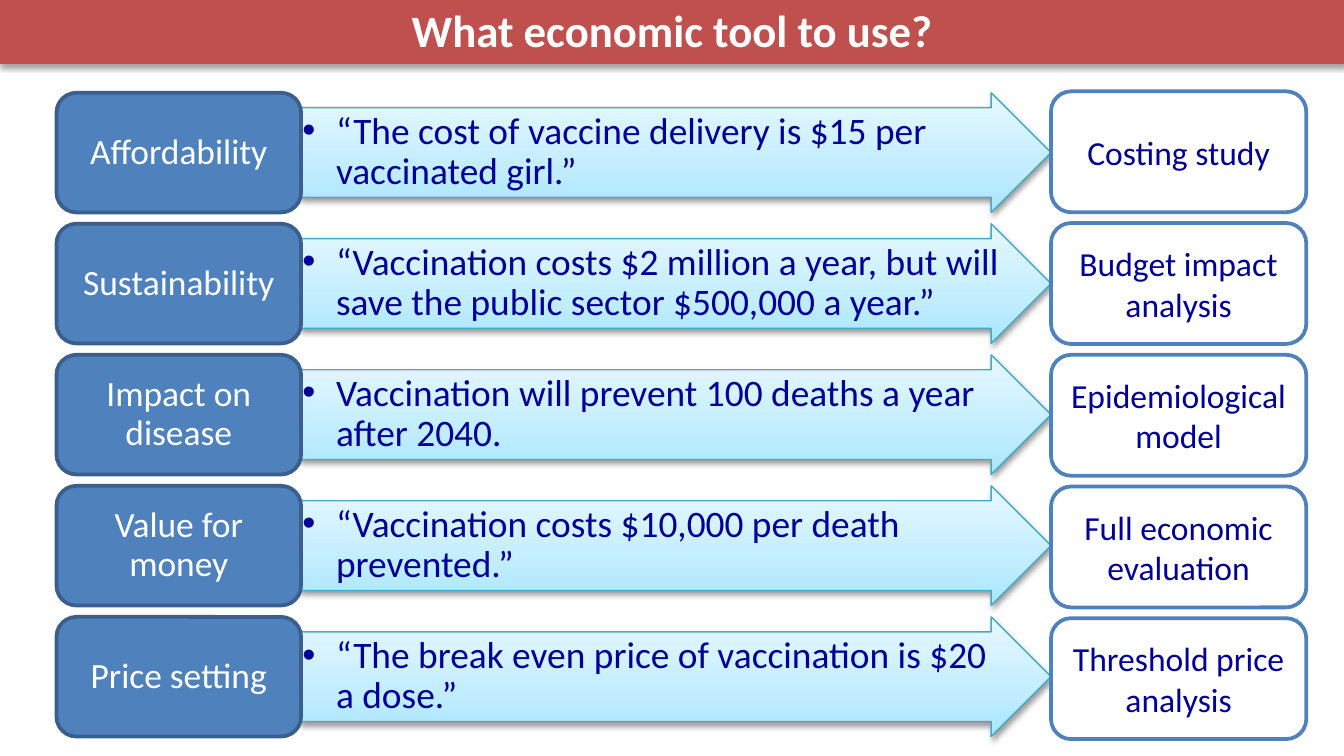
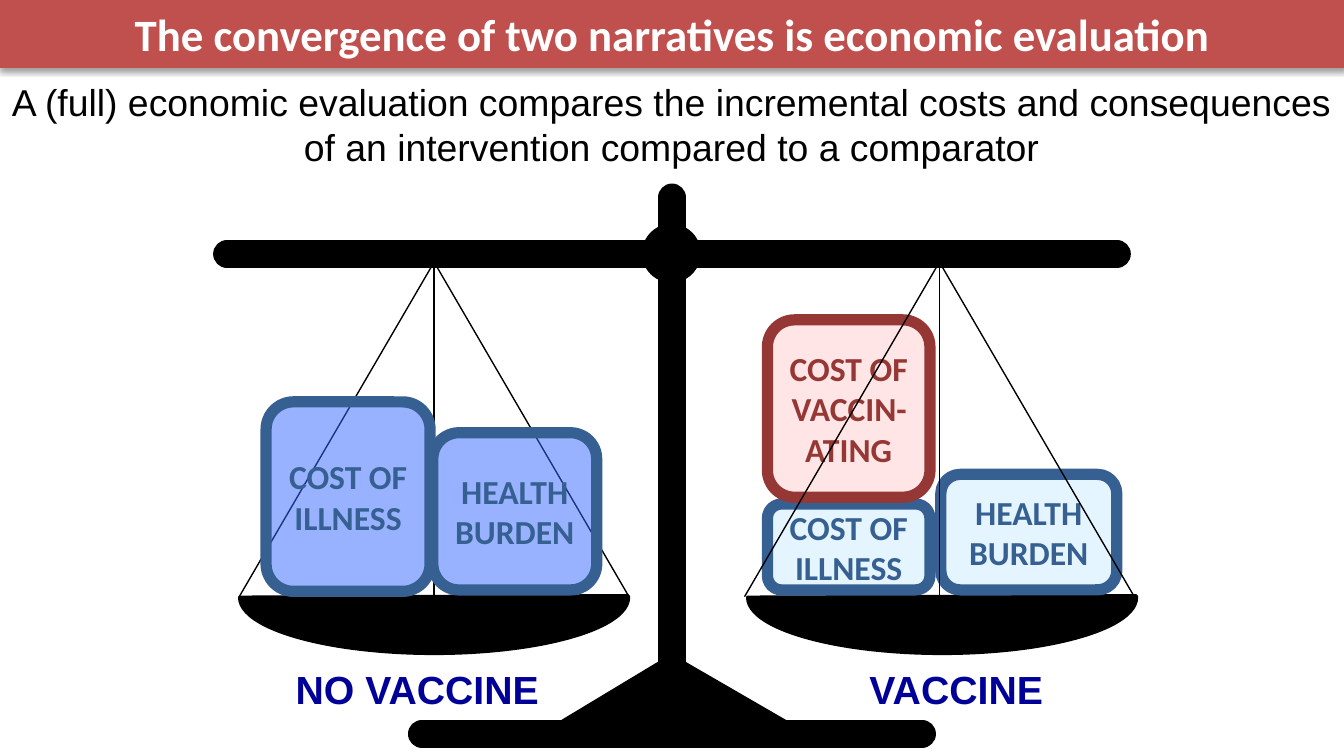
from lxml import etree
from pptx import Presentation
from pptx.dml.color import RGBColor
from pptx.enum.shapes import MSO_CONNECTOR, MSO_SHAPE
from pptx.enum.text import MSO_ANCHOR, MSO_AUTO_SIZE, PP_ALIGN
from pptx.oxml import parse_xml
from pptx.oxml.ns import nsdecls, qn
from pptx.util import Inches, Pt

STRAIGHT = MSO_CONNECTOR.STRAIGHT
ROUND, ARROW = MSO_SHAPE.ROUNDED_RECTANGLE, MSO_SHAPE.RIGHT_ARROW
PEAK, BOWL, DISC = MSO_SHAPE.ISOSCELES_TRIANGLE, MSO_SHAPE.CHORD, MSO_SHAPE.OVAL
LEFT, CENTER = PP_ALIGN.LEFT, PP_ALIGN.CENTER
TOP, MIDDLE = MSO_ANCHOR.TOP, MSO_ANCHOR.MIDDLE
FIXED = MSO_AUTO_SIZE.NONE

WIDTH = Inches(10)
HEIGHT = WIDTH * 9 // 16

WHITE = RGBColor(0xFF, 0xFF, 0xFF)
BLACK = RGBColor(0, 0, 0)
NAVY = RGBColor(0, 0, 0x99)
RED = RGBColor(0xC0, 0x50, 0x4D)
BRICK = RGBColor(0x95, 0x37, 0x35)
PINK = RGBColor(0xFF, 0xCC, 0xCC)
BLUE = RGBColor(0x4F, 0x81, 0xBD)
EDGE = RGBColor(0x3A, 0x5F, 0x8C)
STEEL = RGBColor(0x37, 0x60, 0x92)
ROYAL = RGBColor(0x33, 0x66, 0xFF)
PALE = RGBColor(0xCC, 0xEC, 0xFF)
TEAL = RGBColor(0x46, 0xAA, 0xC5)
FADE = [(0, RGBColor(0xA7, 0xE6, 0xFF)), (35, RGBColor(0xC1, 0xED, 0xFF)),
        (100, RGBColor(0xE7, 0xF8, 0xFF))]

ROWS = [
    ("Affordability", "“The cost of vaccine delivery is $15 per vaccinated girl.”",
     "Costing study"),
    ("Sustainability", "“Vaccination costs $2 million a year, but will save the "
     "public sector $500,000 a year.”", "Budget impact analysis"),
    ("Impact on disease", "Vaccination will prevent 100 deaths a year after 2040.",
     "Epidemiological model"),
    ("Value for money", "“Vaccination costs $10,000 per death prevented.”",
     "Full economic evaluation"),
    ("Price setting", "“The break even price of vaccination is $20 a dose.”",
     "Threshold price analysis"),
]


def write(shape, text, size, color, font="Calibri", bold=False, align=CENTER,
          anchor=MIDDLE, pad=(0.1, 0.05)):
    frame = shape.text_frame
    frame.word_wrap = True
    frame.auto_size = FIXED
    frame.vertical_anchor = anchor
    frame.margin_left = frame.margin_right = Inches(pad[0])
    frame.margin_top = frame.margin_bottom = Inches(pad[1])
    para = frame.paragraphs[0]
    para.alignment = align
    run = para.add_run()
    run.text = text
    run.font.name, run.font.size, run.font.bold = font, Pt(size), bold
    run.font.color.rgb = color
    return para


def paint(shape, fill, line, width):
    shape.fill.solid()
    shape.fill.fore_color.rgb = fill
    shape.line.color.rgb = line
    shape.line.width = Pt(width)


def draw(slide, kind, box, fill, line, width):
    shape = slide.shapes.add_shape(kind, *map(Inches, box))
    shape.shadow.inherit = False
    paint(shape, fill, line, width)
    return shape


def label(slide, box, *args, **style):
    shape = slide.shapes.add_textbox(*map(Inches, box))
    return shape, write(shape, *args, **style)


def shade(shape):
    """Drop a soft shadow straight down."""
    shape.shadow.inherit = False
    effects = shape.element.spPr.find(qn("a:effectLst"))
    effects.append(parse_xml(
        f'<a:outerShdw {nsdecls("a")} blurRad="40000" dist="20000" dir="5400000" '
        'rotWithShape="0"><a:srgbClr val="000000"><a:alpha val="38000"/>'
        '</a:srgbClr></a:outerShdw>'))


def fade(shape):
    """Swap the solid fill for a gradient that rises from the bottom."""
    stops = "".join(f'<a:gs pos="{pos * 1000}"><a:srgbClr val="{color}"/></a:gs>'
                    for pos, color in FADE)
    props = shape.element.spPr
    props.replace(props.find(qn("a:solidFill")), parse_xml(
        f'<a:gradFill {nsdecls("a")} rotWithShape="1"><a:gsLst>{stops}</a:gsLst>'
        '<a:lin ang="16200000" scaled="0"/></a:gradFill>'))


def bullet(para):
    para.level = 1
    props = para._p.get_or_add_pPr()
    props.set("marL", str(Inches(0.25)))
    props.set("indent", str(-Inches(0.25)))
    font = etree.SubElement(props, qn("a:buFont"))
    font.set("typeface", "Arial")
    etree.SubElement(props, qn("a:buChar")).set("char", "•")


def rule(slide, start, end, width):
    line = slide.shapes.add_connector(STRAIGHT, *map(Inches, start + end))
    line.line.color.rgb = BLACK
    line.line.width = Pt(width)
    etree.SubElement(line.element.spPr, qn("a:effectLst"))
    return line


def bar(slide, start, end):
    line = rule(slide, start, end, 15)
    line.element.spPr.find(qn("a:ln")).set("cap", "rnd")


def head(slide, text, top):
    """Turn the title into the red band, above all else."""
    title = slide.shapes.title
    title.left, title.top, title.width, title.height = map(
        Inches, (0, top, 10, 0.5))
    paint(title, RED, RED, 0.75)
    shade(title)
    write(title, text, 24, WHITE, bold=True)
    title.element.getparent().append(title.element)


def row(slide, num, topic, quote, tool):
    y = 0.69 + 0.975 * num
    arrow = draw(slide, ARROW, (2.24, y, 5.58, 0.89), WHITE, TEAL, 0.75)
    arrow.adjustments[0] = 0.75
    fade(arrow)
    shade(arrow)
    para = label(slide, (2.24, y + 0.11, 5.25, 0.67), quote, 20, NAVY,
                 align=LEFT, pad=(0.01, 0.01))[1]
    para.line_spacing = 0.9
    bullet(para)
    card = draw(slide, ROUND, (0.42, y, 1.82, 0.89), BLUE, EDGE, 2)
    write(card, topic, 19, WHITE).line_spacing = 0.9
    card = draw(slide, ROUND, (7.82, 0.68 + 0.98 * num, 1.9, 0.9), WHITE, BLUE, 2)
    write(card, tool, 18, NAVY)


def pan(slide, mid):
    bowl = draw(slide, BOWL, (mid - 0.415, 3, 0.83, 2.89), BLACK, BLACK, 2)
    bowl.adjustments[0], bowl.adjustments[1] = 53.74, 162
    bowl.rotation = 270


def cords(slide, mid):
    for shift in (-1.45, 1.45, 0):
        rule(slide, (mid, 1.95), (mid + shift, 4.44), 0.75)


def block(slide, box, text, fill, color):
    """Draw a half-clear weight."""
    card = draw(slide, ROUND, box, fill, color, 6)
    tone = card.element.spPr.find(qn("a:solidFill"))[0]
    etree.SubElement(tone, qn("a:alpha")).set("val", "50000")
    write(card, text, 18, color, bold=True)


def tools(slide):
    for num, texts in enumerate(ROWS):
        row(slide, num, *texts)
    head(slide, "What economic tool to use?", -0.03)


def scales(slide):
    bar(slide, (5, 1.47), (5, 5.35))
    bar(slide, (1.69, 1.89), (8.31, 1.89))
    foot = draw(slide, PEAK, (4.1, 4.88, 1.83, 0.54), BLACK, BLACK, 2)
    foot.adjustments[0] = 0.49
    pan(slide, 3.23)
    cords(slide, 3.23)
    pan(slide, 7.01)
    for box, text, fill, color in (
            ((1.98, 2.99, 1.22, 1.41), "COST OF ILLNESS", ROYAL, STEEL),
            ((3.22, 3.22, 1.22, 1.17), "HEALTH BURDEN", ROYAL, STEEL),
            ((5.71, 3.75, 1.21, 0.64), "COST OF ILLNESS", PALE, STEEL),
            ((7, 3.53, 1.31, 0.86), "HEALTH BURDEN", PALE, STEEL),
            ((5.71, 2.38, 1.21, 1.32), "COST OF VACCIN-ATING", PINK, BRICK)):
        block(slide, box, text, fill, color)
    for x, text in ((2.02, "NO VACCINE"), (6.03, "VACCINE")):
        label(slide, (x, 4.9, 2.17, 0.45), text, 21, NAVY, "Arial", True, anchor=TOP)
    lead = label(slide, (0, 0.55, 10, 0.75),
                 "A (full) economic evaluation compares the incremental costs and "
                 "consequences of an intervention compared to a comparator",
                 20, BLACK, "Arial", anchor=TOP, pad=(0.07, 0.04))[0]
    lead.fill.solid()
    lead.fill.fore_color.rgb = WHITE
    cords(slide, 6.99)
    bar(slide, (3.14, 5.46), (6.86, 5.46))
    draw(slide, DISC, (4.79, 1.68, 0.41, 0.41), BLACK, BLACK, 2)
    head(slide, "The convergence of two narratives is economic evaluation", 0)


def main():
    deck = Presentation()
    deck.slide_width, deck.slide_height = WIDTH, HEIGHT
    for build in (tools, scales):
        build(deck.slides.add_slide(deck.slide_layouts[5]))
    deck.save("out.pptx")


if __name__ == "__main__":
    main()
